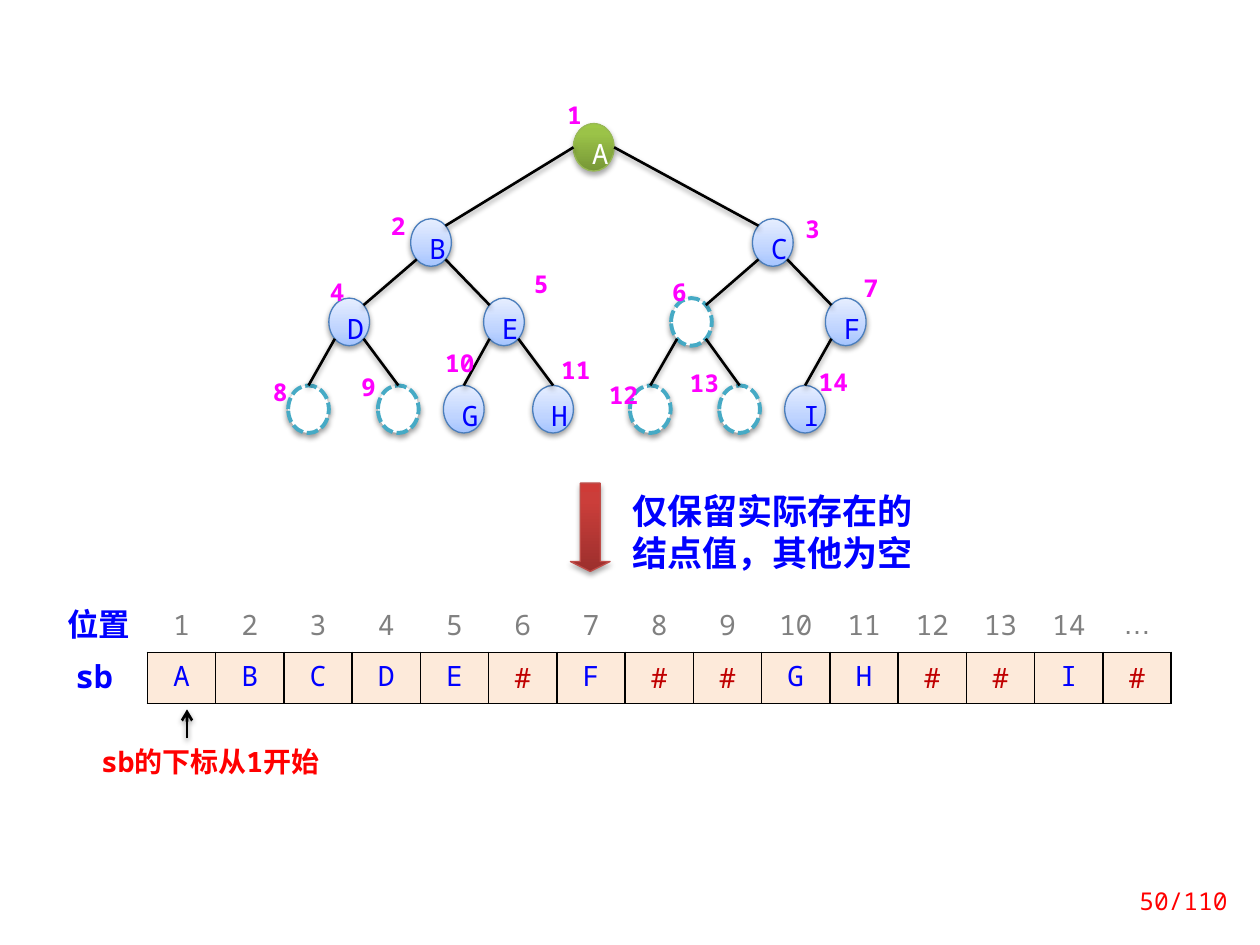
from dataclasses import dataclass
from math import sqrt

from lxml import etree
from pptx import Presentation
from pptx import util as u
from pptx.dml.color import RGBColor
from pptx.enum import dml, shapes, text
from pptx.oxml.ns import qn


@dataclass(frozen=True)
class Theme:
    mono: str = "Noto Sans Mono"
    chinese: str = "Noto Sans CJK SC"
    latin: str = "Arial"
    blue: str = "0000FF"
    red: str = "FF0000"
    dark_red: str = "C00000"
    magenta: str = "FF00FF"
    gray: str = "808080"
    black: str = "000000"
    white: str = "FFFFFF"
    cell: str = "FDEADA"
    node_line: str = "4B7EBC"
    root_line: str = "98B955"
    empty_line: str = "46AAC5"
    arrow_line: str = "BF4C48"
    node_fill: tuple = ((0, "A4C4FF"), (35, "BFD4FF"), (100, "E6EEFF"))
    root_fill: tuple = ((0, "779737"), (80, "9BC348"), (100, "9DC746"))
    arrow_fill: tuple = ((0, "9C2F2D"), (80, "CB3E3A"), (100, "CE3B37"))
    small: int = 14
    normal: int = 16
    label: int = 18
    large: int = 20


VALUES = "ABCDE#F##GH##I#"
EMPTY = "#"
NODE_WIDTH, NODE_HEIGHT = 0.82, 0.96
LEVEL_TOPS = (2.49, 4.41, 6.01, 7.77)
NODE_LEFTS = (11.56, 8.28, 15.17, 6.63, 9.75, 13.53, 16.64,
              5.81, 7.62, 8.94, 10.74, 12.7, 14.5, 15.82)
NUMBER_SPOTS = ((11.08, 2.14), (7.53, 4.36), (15.88, 4.42), (6.3, 5.69),
                (10.41, 5.53), (13.2, 5.69), (17.06, 5.62), (5.15, 7.72),
                (6.93, 7.61), (8.77, 7.13), (11.11, 7.27), (12.07, 7.77),
                (13.7, 7.53), (16.3, 7.51))


def color(code):
    return RGBColor.from_string(code)


def add_xml(parent, tag, **attributes):
    return etree.SubElement(parent, qn(tag), attributes)


class Painter:
    def __init__(self, page, theme):
        self.page = page
        self.theme = theme

    def fill_text(self, frame, content, size, tint, bold=False, font=None,
                  align=text.PP_ALIGN.CENTER, spacing=None):
        frame.text = content
        para = frame.paragraphs[0]
        para.alignment = align
        para.line_spacing = spacing
        for span in para.runs:
            span.font.size = u.Pt(size)
            span.font.bold = bold
            span.font.color.rgb = color(tint)
            span.font.name = font or self.theme.mono
            add_xml(span._r.get_or_add_rPr(), "a:ea", typeface=self.theme.chinese)

    def label(self, area, content, size, tint, margin=None,
              anchor=text.MSO_ANCHOR.TOP, **style):
        box = self.page.shapes.add_textbox(*map(u.Cm, area))
        frame = box.text_frame
        frame.word_wrap = True
        frame.vertical_anchor = anchor
        if margin is not None:
            frame.margin_left = frame.margin_right = u.Cm(margin)
            frame.margin_top = frame.margin_bottom = u.Cm(margin)
        self.fill_text(frame, content, size, tint, **style)

    def cast_shadow(self, item, alpha=38, distance=20000):
        properties = item.element.spPr
        effects = properties.find(qn("a:effectLst"))
        if effects is None:
            effects = add_xml(properties, "a:effectLst")
        shadow = add_xml(effects, "a:outerShdw", blurRad="40000", dist=str(distance),
                         dir="5400000", rotWithShape="0")
        tint = add_xml(shadow, "a:srgbClr", val=self.theme.black)
        add_xml(tint, "a:alpha", val=str(alpha * 1000))

    def shape(self, kind, area, fill, line, line_width=0.75, strong=False):
        item = self.page.shapes.add_shape(kind, *map(u.Cm, area))
        if isinstance(fill, str):
            item.fill.solid()
            item.fill.fore_color.rgb = color(fill)
        else:
            item.fill.gradient()
            item.fill.gradient_angle = 90
            stops = item.element.spPr.find(".//" + qn("a:gsLst"))
            for stop in list(stops):
                stops.remove(stop)
            for position, tint in fill:
                stop = add_xml(stops, "a:gs", pos=str(position * 1000))
                add_xml(stop, "a:srgbClr", val=tint)
        item.line.color.rgb = color(line)
        item.line.width = u.Pt(line_width)
        item.shadow.inherit = False
        if strong:
            self.cast_shadow(item, alpha=35, distance=23000)
        else:
            self.cast_shadow(item)
        return item

    def node(self, left, top, value, root=False):
        theme = self.theme
        area = (left, top, NODE_WIDTH, NODE_HEIGHT)
        oval = shapes.MSO_SHAPE.OVAL
        if value == EMPTY:
            item = self.shape(oval, area, theme.white, theme.empty_line, 2.25)
            item.line.dash_style = dml.MSO_LINE.SQUARE_DOT
            return item
        fill, line, tint = ((theme.root_fill, theme.root_line, theme.white) if root
                            else (theme.node_fill, theme.node_line, theme.blue))
        item = self.shape(oval, area, fill, line, strong=root)
        item.text_frame.vertical_anchor = text.MSO_ANCHOR.MIDDLE
        self.fill_text(item.text_frame, value, theme.normal, tint, spacing=u.Pt(26))
        return item

    def line(self, start, end, arrow=False):
        connector = self.page.shapes.add_connector(
            shapes.MSO_CONNECTOR.STRAIGHT, *map(u.Cm, (*start, *end)))
        connector.line.color.rgb = color(self.theme.black)
        connector.line.width = u.Pt(1.5)
        if arrow:
            outline = connector.element.spPr.find(qn("a:ln"))
            add_xml(outline, "a:tailEnd", type="arrow")
        self.cast_shadow(connector)
        return connector

    def cell(self, cell, content, tint, fill, sides, font=None, spacing=0.8):
        properties = cell._tc.get_or_add_tcPr()
        for side in sides:
            border = add_xml(properties, "a:ln" + side, w="12700")
            add_xml(add_xml(border, "a:solidFill"), "a:srgbClr", val=self.theme.black)
        cell.fill.solid()
        cell.fill.fore_color.rgb = color(fill)
        cell.vertical_anchor = text.MSO_ANCHOR.MIDDLE
        self.fill_text(cell.text_frame, content, self.theme.normal, tint,
                       font=font, spacing=spacing)

    def array_table(self, area, values):
        theme = self.theme
        table = self.page.shapes.add_table(2, len(values), *map(u.Cm, area)).table
        table.first_row = table.horz_banding = False
        for column, value in enumerate(values):
            last = column == len(values) - 1
            self.cell(table.cell(0, column), "…" if last else str(column + 1),
                      theme.gray, theme.white, "B", theme.latin if last else None)
            empty = value == EMPTY
            self.cell(table.cell(1, column), value,
                      theme.dark_red if empty else theme.blue, theme.cell, "LRTB",
                      spacing=None if empty else 0.8)

    def tree(self):
        nodes, centers = {}, {}
        for number, (left, value) in enumerate(zip(NODE_LEFTS, VALUES), 1):
            top = LEVEL_TOPS[number.bit_length() - 1]
            nodes[number] = self.node(left, top, value, root=number == 1)
            centers[number] = (left + NODE_WIDTH / 2, top + NODE_HEIGHT / 2)

        across, down = NODE_WIDTH / sqrt(8), NODE_HEIGHT / sqrt(8)
        for number in range(2, len(NODE_LEFTS) + 1):
            parent = number // 2
            side = 1 if number % 2 else -1
            x, y = centers[parent]
            start = ((x + side * NODE_WIDTH / 2, y) if parent == 1
                     else (x + side * across, y + down))
            x, y = centers[number]
            edge = self.line(start, (x - side * across, y - down))
            if number >= 8:
                edge.end_connect(nodes[number], 0)

        for number, (left, top) in enumerate(NUMBER_SPOTS, 1):
            self.label((left, top, 1, 0.48), str(number), self.theme.small,
                       self.theme.magenta, margin=0, bold=True, spacing=0.8)


def main():
    deck = Presentation()
    deck.slide_width, deck.slide_height = u.Cm(25.4), u.Cm(19.05)
    theme = Theme()
    painter = Painter(deck.slides.add_slide(deck.slide_layouts[6]), theme)
    left = text.PP_ALIGN.LEFT

    painter.shape(shapes.MSO_SHAPE.DOWN_ARROW, (11.5, 9.74, 0.8, 1.78),
                  theme.arrow_fill, theme.arrow_line, strong=True).adjustments[1] = 0.25
    painter.array_table((2.97, 12.12, 20.65, 2.06), VALUES)
    painter.label((1, 12.22, 1.98, 0.87), "位置", theme.label, theme.blue,
                  bold=True, font=theme.chinese, spacing=0.8)
    painter.label((1.2, 13.26, 1.4, 0.88), "sb", theme.label, theme.blue,
                  bold=True, spacing=0.8)
    painter.label((12.5, 9.74, 6.55, 1.96), "仅保留实际存在的结点值，其他为空",
                  theme.large, theme.blue, bold=True, font=theme.chinese,
                  align=left, spacing=u.Pt(24))
    painter.tree()
    painter.label((1.79, 14.89, 5.56, 0.94), "sb的下标从1开始", theme.normal,
                  theme.red, bold=True, align=left)
    painter.line((3.77, 14.88), (3.77, 14.3), arrow=True)
    painter.label((22.1, 17.66, 2.9, 1.01), "50/110", theme.small, theme.red,
                  anchor=text.MSO_ANCHOR.MIDDLE, align=text.PP_ALIGN.RIGHT)
    deck.save("out.pptx")


if __name__ == "__main__":
    main()
